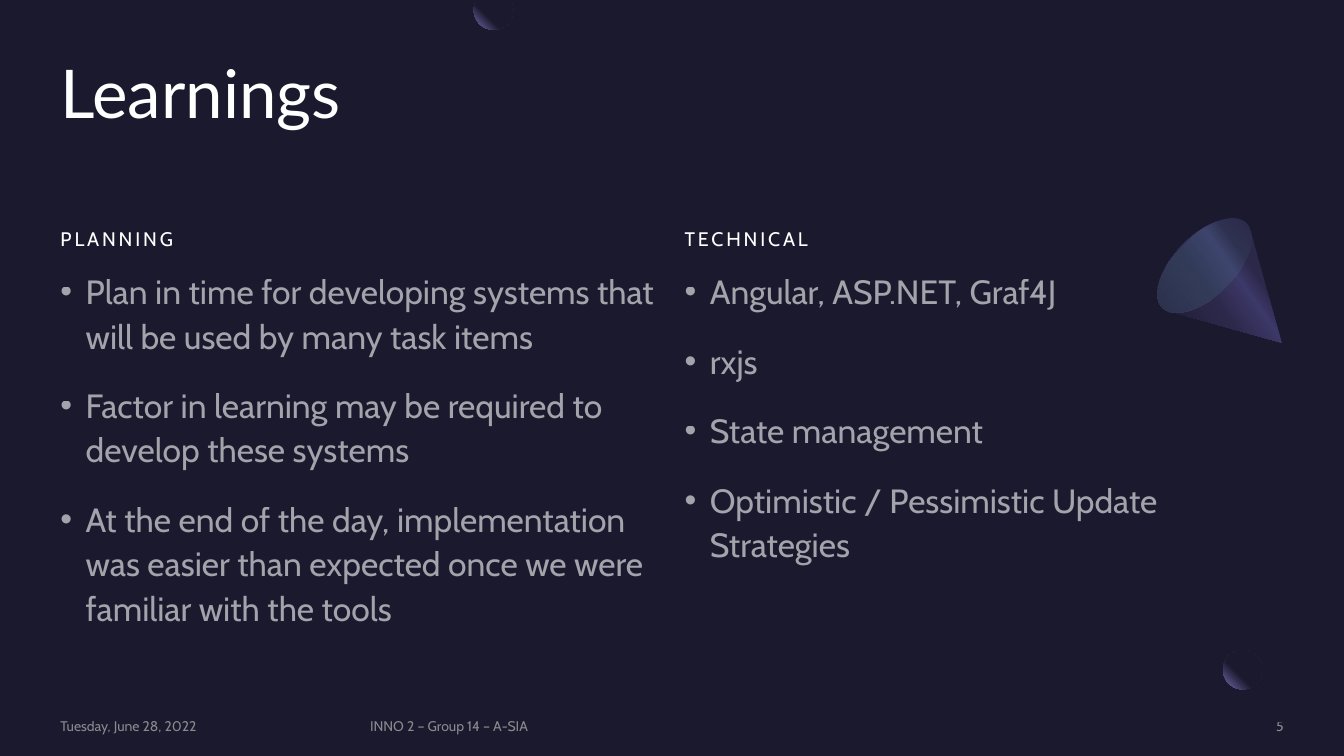
import math

from lxml import etree
from pptx import Presentation
from pptx import util as u
from pptx.dml.color import RGBColor
from pptx.enum import shapes, text
from pptx.oxml import ns

Inches = u.Inches

NIGHT = RGBColor(0x1B, 0x19, 0x2E)
PLUM = RGBColor(0x2C, 0x28, 0x4A)
VIOLET = RGBColor(0x3C, 0x38, 0x67)
INDIGO = RGBColor(0x45, 0x40, 0x75)
LAVENDER = RGBColor(0x77, 0x71, 0xB2)
MINT = RGBColor(0x5B, 0xEF, 0xC1)
WHITE = RGBColor(0xFF, 0xFF, 0xFF)
GREY = RGBColor(0xA6, 0xA6, 0xA6)

BALL_STOPS = [(60, NIGHT, 100), (100, LAVENDER, 100)]
CONE_STOPS = [(30, PLUM, 100), (40, VIOLET, 100), (60, PLUM, 100), (100, NIGHT, 100)]
BASE_STOPS = [(0, INDIGO, 33), (100, MINT, 0)]

TITLE = {"size": 48, "font": "Lato", "color": WHITE,
         "paragraph": {"line_spacing": 0.9}}
BODY_SPACING = {"line_spacing": 1.1, "space_before": u.Pt(10), "space_after": u.Pt(8)}
HEADING = {"size": 14, "color": WHITE, "tracking": 2, "paragraph": BODY_SPACING,
           "anchor": text.MSO_ANCHOR.BOTTOM}
LIST = {"size": 24, "color": WHITE, "alpha": 60, "bullet": "•", "paragraph": BODY_SPACING}
FOOTER = {"size": 10, "color": GREY, "alpha": 80, "anchor": text.MSO_ANCHOR.MIDDLE}
PAGE_NUMBER = {**FOOTER, "paragraph": {"alignment": text.PP_ALIGN.RIGHT}}

COLUMNS = [
    (0.6, "PLANNING", [
        "Plan in time for developing systems that will be used by many task items",
        "Factor in learning may be required to develop these systems",
        "At the end of the day, implementation was easier than expected once we were "
        "familiar with the tools"]),
    (6.79, "TECHNICAL", [
        "Angular, ASP.NET, Graf4J",
        "rxjs",
        "State management",
        "Optimistic / Pessimistic Update Strategies"]),
]
FOOTERS = [
    (0.6, 2.88, "Tuesday, June 28, 2022", FOOTER),
    (3.67, 6.98, "INNO 2 – Group 14 – A-SIA", FOOTER),
    (10.88, 1.85, "5", PAGE_NUMBER),
]


def add_child(parent, tag, **attributes):
    child = etree.SubElement(parent, ns.qn(tag))
    for name, value in attributes.items():
        child.set(name, str(value))
    return child


def set_alpha(fill_owner, percent):
    color = next(fill_owner.iter(ns.qn("a:srgbClr")))
    add_child(color, "a:alpha", val=percent * 1000)


def finish(shape):
    shape.shadow.inherit = False
    shape.line.fill.background()
    return shape


def set_gradient(shape, stops, angle=None):
    """Fill with (position, colour, opacity) stops; radial from the top right if no angle."""
    shape.fill.gradient()
    gradient = shape._element.spPr.find(ns.qn("a:gradFill"))
    for child in list(gradient):
        gradient.remove(child)
    gradient.set("rotWithShape", "1")
    stop_list = add_child(gradient, "a:gsLst")
    for position, color, opacity in stops:
        stop = add_child(stop_list, "a:gs", pos=position * 1000)
        add_child(stop, "a:srgbClr", val=color)
        if opacity < 100:
            set_alpha(stop, opacity)
    if angle is None:
        radial = add_child(gradient, "a:path", path="circle")
        add_child(radial, "a:fillToRect", l=100000, t=0, r=0, b=100000)
    else:
        add_child(gradient, "a:lin", ang=angle * 60000, scaled=0)


def add_preset(slide, kind, left, top, width, height):
    return finish(slide.shapes.add_shape(
        kind, Inches(left), Inches(top), Inches(width), Inches(height)))


def add_outline(slide, points):
    points = [(Inches(x), Inches(y)) for x, y in points]
    builder = slide.shapes.build_freeform(*points[0])
    builder.add_line_segments(points[1:], close=True)
    return finish(builder.convert_to_shape())


def arc(center, axis_a, axis_b, start, end, steps=60):
    """Points of an ellipse arc given by two half-axis vectors and angles in radians."""
    angles = [start + (end - start) * step / steps for step in range(steps + 1)]
    return [tuple(c + a * math.cos(t) + b * math.sin(t)
                  for c, a, b in zip(center, axis_a, axis_b)) for t in angles]


def add_corner_ball(slide):
    ball = add_preset(slide, shapes.MSO_SHAPE.OVAL, 12.13, 6.45, 0.39, 0.39)
    set_gradient(ball, BALL_STOPS)
    veil = add_preset(slide, shapes.MSO_SHAPE.RECTANGLE, 12.52, 6.37, 0.41, 0.39)
    veil.fill.solid()
    veil.fill.fore_color.rgb = NIGHT
    set_alpha(veil._element.spPr, 80)


def add_top_ball(slide):
    """A ball cut off by the top edge of the slide."""
    radius, center_y = 0.195, 0.1
    cut = math.asin(center_y / radius)
    points = arc((4.895, center_y), (radius, 0), (0, radius), -cut, math.pi + cut)
    set_gradient(add_outline(slide, points), BALL_STOPS)


def add_cone(slide):
    """A cone tilted by 45 degrees: its sides touch the base ellipse as tangents."""
    center, apex, short, long = (11.945, 2.63), (12.71, 3.4), 0.295, 0.59
    tangent = math.acos(short / math.dist(center, apex))
    diagonal = math.sqrt(0.5)
    rim = arc(center, (short * diagonal, short * diagonal),
              (long * diagonal, -long * diagonal), tangent, 2 * math.pi - tangent)
    set_gradient(add_outline(slide, [apex] + rim), CONE_STOPS, angle=145)
    base = add_preset(slide, shapes.MSO_SHAPE.OVAL, center[0] - short, center[1] - long,
                      2 * short, 2 * long)
    base.rotation = 225
    set_gradient(base, BASE_STOPS, angle=90)


def add_text(slide, left, top, width, height, lines, style):
    box = slide.shapes.add_textbox(Inches(left), Inches(top), Inches(width), Inches(height))
    frame = box.text_frame
    frame_format = {"word_wrap": True, "margin_left": 0, "margin_right": 0,
                    "margin_top": 0, "margin_bottom": 0,
                    "vertical_anchor": style.get("anchor", text.MSO_ANCHOR.TOP)}
    for name, value in frame_format.items():
        setattr(frame, name, value)
    for index, line in enumerate(lines):
        paragraph = frame.add_paragraph() if index else frame.paragraphs[0]
        for name, value in style.get("paragraph", {}).items():
            setattr(paragraph, name, value)
        if "bullet" in style:
            properties = paragraph._p.get_or_add_pPr()
            properties.set("marL", str(Inches(0.25)))
            properties.set("indent", str(Inches(-0.25)))
            add_child(properties, "a:buFont", typeface="Arial")
            add_child(properties, "a:buChar", char=style["bullet"])
        run = paragraph.add_run()
        run.text = line
        run.font.size = u.Pt(style["size"])
        run.font.name = style.get("font", "Cabin")
        run.font.color.rgb = style["color"]
        if "alpha" in style:
            set_alpha(run._r, style["alpha"])
        if "tracking" in style:
            run._r.get_or_add_rPr().set("spc", str(style["tracking"] * 100))


def main():
    presentation = Presentation()
    presentation.slide_width = Inches(13.33)
    presentation.slide_height = Inches(7.5)
    slide = presentation.slides.add_slide(presentation.slide_layouts[6])
    slide.background.fill.solid()
    slide.background.fill.fore_color.rgb = NIGHT

    add_corner_ball(slide)
    add_cone(slide)
    add_text(slide, 0.6, 0.6, 12.14, 1.46, ["Learnings"], TITLE)
    for left, heading, items in COLUMNS:
        add_text(slide, left, 1.89, 5.95, 0.59, [heading], HEADING)
        add_text(slide, left, 2.65, 5.95, 3.84, items, LIST)
    for left, width, line, style in FOOTERS:
        add_text(slide, left, 7.12, width, 0.17, [line], style)
    add_top_ball(slide)

    presentation.save("out.pptx")


if __name__ == "__main__":
    main()
